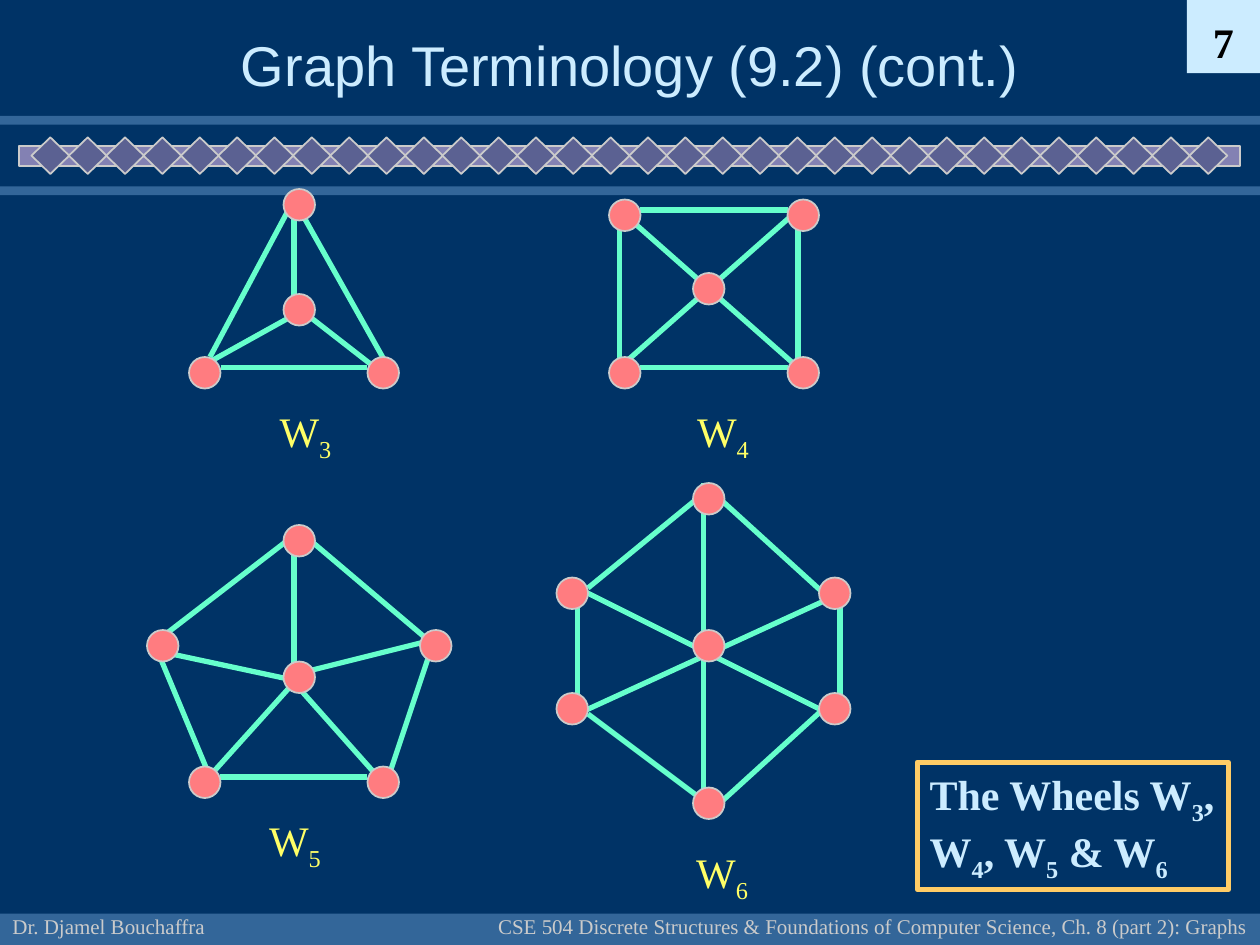
from lxml import etree
from pptx import Presentation
from pptx.dml.color import RGBColor
from pptx.enum.shapes import MSO_CONNECTOR, MSO_SHAPE as Shape
from pptx.enum.text import MSO_ANCHOR as Anchor, PP_ALIGN as Align
from pptx.oxml.ns import qn
from pptx.util import Inches, Pt

SERIF = "Times New Roman"
GREY, PALE, BAND = "CBCBCB", "CCECFF", "336699"
GRID = 1 / 12  # wheels are laid out on a grid of twelfths of an inch
NODE = 3 * GRID

# origin and spokes/rim/nodes in grid units; label offset in inches
WHEELS = [
    {"size": "3", "origin": (18, 18), "label": (0.62, 1.67),
     "edges": [(10, 2, 10, 11), (1, 17, 10, 12), (10, 11, 19, 18),
               (10, 1, 2, 16), (10, 1, 19, 17), (3, 17, 17, 17)],
     "nodes": [(0, 16), (17, 16), (9, 0), (9, 10)]},
    {"size": "4", "origin": (58, 19), "label": (0.6, 1.59),
     "edges": [(1, 1, 18, 16), (18, 1, 1, 16), (1, 16, 1, 1),
               (18, 16, 18, 1), (3, 16, 17, 16), (3, 1, 17, 1)],
     "nodes": [(0, 15), (17, 15), (0, 0), (17, 0), (8, 7)]},
    {"size": "5", "origin": (14, 50), "label": (0.87, 2.25),
     "edges": [(5, 25, 14, 15), (1, 12, 15, 15), (14, 2, 14, 15),
               (27, 11, 15, 14), (22, 24, 14, 15), (14, 1, 1, 11),
               (1, 12, 6, 24), (23, 24, 27, 12), (15, 1, 28, 12),
               (7, 24, 21, 24)],
     "nodes": [(4, 23), (21, 23), (13, 0), (0, 10), (26, 10), (13, 13)]},
    {"size": "6", "origin": (53, 46), "label": (1.01, 2.84),
     "edges": [(14, 0, 14, 31), (2, 10, 26, 22), (2, 22, 26, 11),
               (15, 31, 26, 21), (27, 21, 27, 10), (14, 1, 3, 10),
               (2, 11, 2, 21), (3, 22, 15, 31), (26, 11, 15, 1)],
     "nodes": [(0, 9), (25, 9), (0, 20), (25, 20), (13, 29), (13, 0),
               (13, 14)]},
]


def color(value):
    return RGBColor.from_string(value)


def inches(*lengths):
    return [Inches(length) for length in lengths]


def add_box(shapes, kind, box, fill=None, line=None, weight=1):
    shape = shapes.add_shape(kind, *inches(*box))
    shape.shadow.inherit = False
    if fill:
        shape.fill.solid()
        shape.fill.fore_color.rgb = color(fill)
    else:
        shape.fill.background()
    if line:
        shape.line.color.rgb = color(line)
        shape.line.width = Pt(weight)
    else:
        shape.line.fill.background()
    return shape


def add_edge(shapes, ends):
    edge = shapes.add_connector(MSO_CONNECTOR.STRAIGHT, *inches(*ends))
    edge.line.color.rgb = color("66FFCC")
    edge.line.width = Pt(3)
    etree.SubElement(edge._element.spPr, qn("a:effectLst"))


def write(shape, lines, ink, size=24, font=SERIF, bold=False,
          align=Align.LEFT, anchor=Anchor.TOP, wrap=False):
    """Fill a shape with lines of text; parts after each "_" are one-digit subscripts."""
    frame = shape.text_frame
    frame.word_wrap = wrap
    frame.vertical_anchor = anchor
    para = frame.paragraphs[0]
    para.alignment = align
    look = {"name": font, "size": Pt(size), "bold": bold}
    for number, line in enumerate(lines):
        if number:
            para.add_line_break()
        first, *others = line.split("_")
        pieces = [(first, False)]
        for other in others:
            pieces += [(other[0], True), (other[1:], False)]
        for text, lowered in pieces:
            if not text:
                continue
            span = para.add_run()
            span.text = text
            for name, value in look.items():
                setattr(span.font, name, value)
            span.font.color.rgb = color(ink)
            if lowered:
                span._r.get_or_add_rPr().set("baseline", "-25000")


def add_text(shapes, box, lines, ink, **look):
    write(shapes.add_textbox(*inches(*box)), lines, ink, **look)


def add_bands(shapes):
    for top, height in ((7.25, 0.25), (0.92, 0.07), (1.48, 0.07)):
        add_box(shapes, Shape.RECTANGLE, (0, top, 10, height), BAND)


def add_diamond_chain(shapes, left, top, width, height, count=32):
    chain = shapes.add_group_shape().shapes
    add_box(chain, Shape.RECTANGLE, (left, top + 0.07, width, 0.16), "8381B3", GREY)
    side, margin = 0.3, 0.1
    pitch = (width - 2 * margin - side) / (count - 1)
    for index in range(count):
        box = (left + margin + index * pitch, top, side, height)
        add_box(chain, Shape.DIAMOND, box, "5B6192", GREY)


def add_footer(shapes, top, height):
    look = {"size": 12, "anchor": Anchor.BOTTOM}
    add_text(shapes, (0, top, 2.08, height), ["Dr. Djamel Bouchaffra"], GREY, **look)
    add_text(shapes, (3.83, top, 6.17, height),
             ["CSE 504 Discrete Structures & Foundations of Computer Science, "
              "Ch. 8 (part 2): Graphs"], GREY, align=Align.RIGHT, **look)


def add_page_number(shapes, box):
    write(add_box(shapes, Shape.RECTANGLE, box, PALE), ["7"], "000000",
          bold=True, align=Align.CENTER, anchor=Anchor.BOTTOM)


def set_title(title, box):
    title.left, title.top, title.width, title.height = inches(*box)
    write(title, ["Graph Terminology (9.2) (cont.)"], PALE, size=32, font="Arial",
          align=Align.CENTER, anchor=Anchor.MIDDLE, wrap=True)


def add_wheel(shapes, size, origin, label, edges, nodes):
    wheel = shapes.add_group_shape().shapes
    left, top = (unit * GRID for unit in origin)
    for x1, y1, x2, y2 in edges:
        add_edge(wheel, (left + x1 * GRID, top + y1 * GRID,
                         left + x2 * GRID, top + y2 * GRID))
    for x, y in nodes:
        box = (left + x * GRID, top + y * GRID, NODE, NODE)
        add_box(wheel, Shape.OVAL, box, "FF7C80", GREY)
    add_text(wheel, (left + label[0], top + label[1], 0.61, 0.56),
             [f"W_{size}"], "FFFF66")


def add_caption(shapes, box):
    frame = add_box(shapes, Shape.RECTANGLE, box, line="FFCC66", weight=3)
    write(frame, ["The Wheels W_3,", "W_4, W_5 & W_6"], PALE, bold=True)


def main():
    deck = Presentation()
    deck.slide_width, deck.slide_height = inches(10, 7.5)
    page = deck.slides.add_slide(deck.slide_layouts[5])
    page.background.fill.solid()
    page.background.fill.fore_color.rgb = color("003366")
    shapes = page.shapes
    add_bands(shapes)
    add_diamond_chain(shapes, 0.15, 1.09, 9.69, 0.29)
    add_footer(shapes, 7, 0.5)
    add_page_number(shapes, (9.42, 0, 0.58, 0.58))
    set_title(shapes.title, (0.75, 0.17, 8.5, 0.67))
    for wheel in WHEELS:
        add_wheel(shapes, **wheel)
    add_caption(shapes, (7.28, 6.05, 2.47, 1.01))
    deck.save("out.pptx")


if __name__ == "__main__":
    main()
